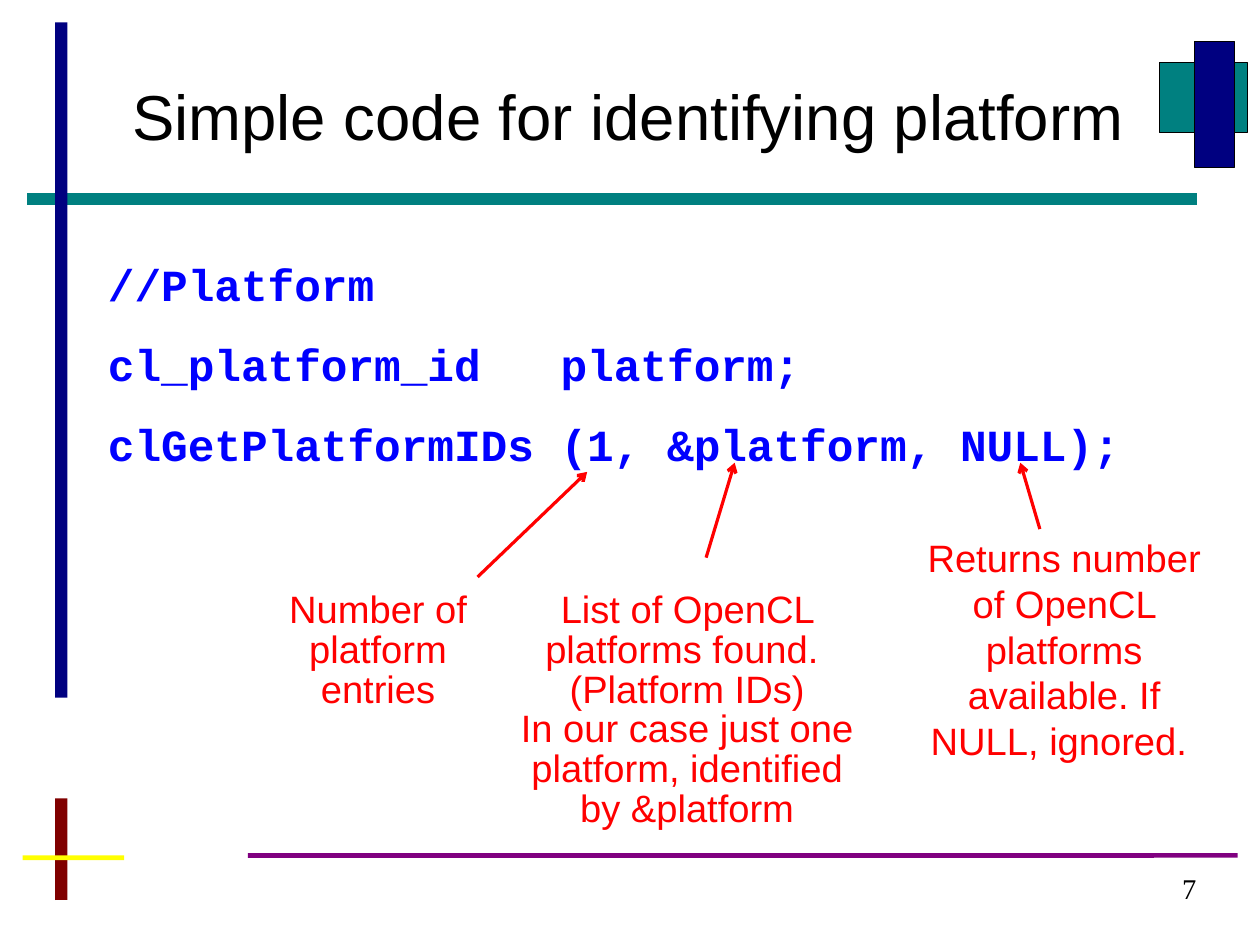
from lxml import etree
from pptx import Presentation, util as u
from pptx.dml.color import RGBColor
from pptx.enum import shapes, text
from pptx.oxml.ns import qn

deck = Presentation()
deck.slide_width, deck.slide_height = u.Cm(28), u.Cm(21)
slide = deck.slides.add_slide(deck.slide_layouts[6])

# The grid has 100 columns and 100 rows.
COL, ROW = deck.slide_width / 100, deck.slide_height / 100
GRID = (COL, ROW, COL, ROW)
RED = "FF0000"
LEFT, CENTER, RIGHT = text.PP_ALIGN.LEFT, text.PP_ALIGN.CENTER, text.PP_ALIGN.RIGHT


def paint(target, color):
    """Give a fill a solid colour from a hex string."""
    target.solid()
    target.fore_color.rgb = RGBColor.from_string(color)


def write(place, *lines, size=24, font="Arial", color=RED, bold=False,
          align=CENTER, spacing=0.87, wrap=True, inset=(0.1, 0.05)):
    """Write one paragraph per line in a box placed on the grid."""
    box = slide.shapes.add_textbox(*(int(n * unit) for n, unit in zip(place, GRID)))
    frame = box.text_frame
    frame.word_wrap = wrap
    frame.margin_left = frame.margin_right = u.Inches(inset[0])
    frame.margin_top = frame.margin_bottom = u.Inches(inset[1])
    for number, line in enumerate(lines):
        paragraph = frame.paragraphs[0] if number == 0 else frame.add_paragraph()
        paragraph.alignment = align
        paragraph.line_spacing = spacing
        run = paragraph.add_run()
        run.text = line
        run.font.size, run.font.name, run.font.bold = u.Pt(size), font, bold
        paint(run.font.fill, color)


# Title rule, then the arrows from the notes to the arguments
for ends, color, width, has_head in [
    ((2.18, 21.04, 95, 21.04), "008080", 7.2, False),
    ((37.9, 61.06, 46.6, 49.94), RED, 2, True),
    ((56.04, 59.01, 58.31, 48.97), RED, 2, True),
    ((82.53, 55.99, 80.98, 48.97), RED, 2, True),
]:
    line = slide.shapes.add_connector(
        shapes.MSO_CONNECTOR.STRAIGHT, *(int(n * unit) for n, unit in zip(ends, GRID)))
    line.line.width = u.Pt(width)
    paint(line.line.fill, color)
    properties = line._element.spPr
    if has_head:
        etree.SubElement(properties.find(qn("a:ln")), qn("a:tailEnd"), type="arrow")
    etree.SubElement(properties, qn("a:effectLst"))

# Corner blocks are outlined; the frame bars are slightly rounded
BLOCK = shapes.MSO_SHAPE.RECTANGLE
BAR = shapes.MSO_SHAPE.ROUNDED_RECTANGLE
for kind, place, color in [
    (BLOCK, (92, 6.65, 6.99, 7.38), "008080"),
    (BLOCK, (94.82, 4.35, 3.15, 13.35), "000080"),
    (BAR, (4.37, 2.37, 0.98, 71.46), "000080"),
    (BAR, (4.37, 84.48, 0.98, 10.76), "800000"),
    (BAR, (1.8, 90.52, 8.05, 0.5), "FFFF00"),
    (BAR, (19.67, 90.27, 78.56, 0.5), "800080"),
]:
    ornament = slide.shapes.add_shape(kind, *(int(n * unit) for n, unit in zip(place, GRID)))
    ornament.shadow.inherit = False
    paint(ornament.fill, color)
    if kind == BLOCK:
        ornament.line.width = u.Pt(0.75)
        paint(ornament.line.fill, "000000")
    else:
        ornament.adjustments[0] = 0.02
        ornament.line.fill.background()

write((79.44, 92.45, 15.52, 5.44), "7", size=18, font="Times New Roman",
      color="000000", align=RIGHT, spacing=0.93, inset=(0, 0))
write((9.6, 8.65, 80.49, 8.22), "Simple code for identifying platform",
      size=40, color="000000", align=LEFT, wrap=False)
write((7.68, 23.74, 86.93, 26.6),
      "//Platform",
      "cl_platform_id   platform;",
      "clGetPlatformIDs (1, &platform, NULL);",
      size=28, font="Courier New", color="0000FF", bold=True, align=LEFT, spacing=1.5)
write((19.02, 62.03, 21.96, 13.91), "Number of platform entries")
write((39.43, 62.03, 30.22, 26.48),
      "List of OpenCL platforms found. ",
      "(Platform IDs)",
      "In our case just one platform, identified by &platform")
write((72.02, 55.99, 24.86, 25.39),
      "Returns number of OpenCL platforms available. If NULL, ignored. ", spacing=1.0)

deck.save("out.pptx")
